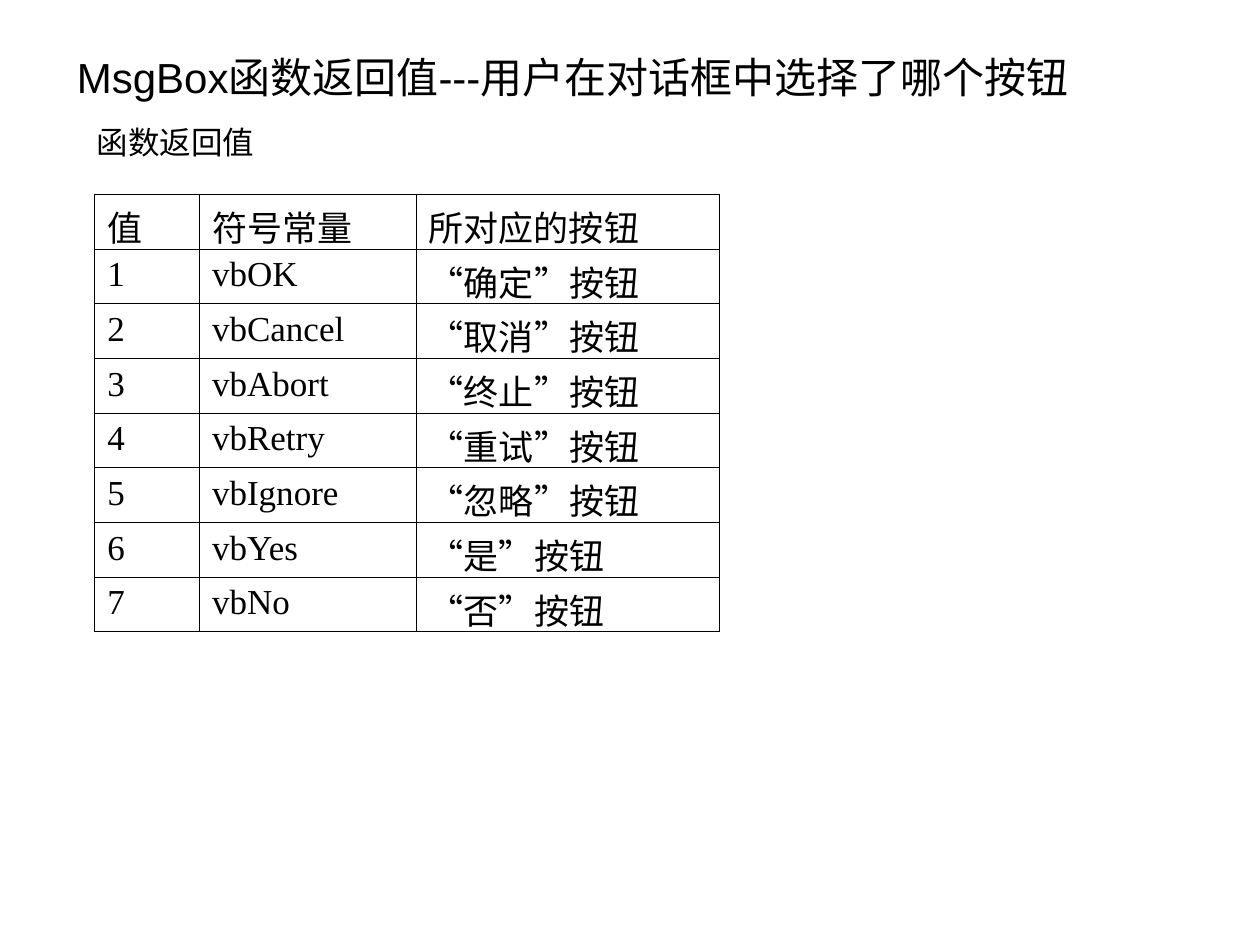
from dataclasses import dataclass

from lxml import etree
from pptx import Presentation
from pptx.dml.color import RGBColor
from pptx.enum.lang import MSO_LANGUAGE_ID
from pptx.enum.text import MSO_ANCHOR
from pptx.oxml.ns import qn
from pptx.util import Cm, Pt

CHINESE = MSO_LANGUAGE_ID.SIMPLIFIED_CHINESE
TOP, MIDDLE = MSO_ANCHOR.TOP, MSO_ANCHOR.MIDDLE


@dataclass(frozen=True)
class Theme:
    ink: str = "000000"
    sans: str = "Arial"
    serif: str = "Times New Roman"
    title_size: int = 24
    subtitle_size: int = 18
    table_size: int = 20
    border_width: float = 0.45


THEME = Theme()

# Content
TITLE = "MsgBox函数返回值---用户在对话框中选择了哪个按钮"
SUBTITLE = "函数返回值"
HEADERS = ("值", "符号常量", "所对应的按钮")
RETURN_VALUES = [
    ("vbOK", "确定"),
    ("vbCancel", "取消"),
    ("vbAbort", "终止"),
    ("vbRetry", "重试"),
    ("vbIgnore", "忽略"),
    ("vbYes", "是"),
    ("vbNo", "否"),
]

# Layout in centimetres
TITLE_BOX = (1.3, 0.91, 23.19, 2.29)
SUBTITLE_BOX = (1.7, 2.36, 3.68, 1.02)
TABLE_LEFT, TABLE_TOP = 1.91, 3.92
COLUMN_WIDTHS = (2.11, 4.37, 6.12)
ROW_HEIGHT = 1.1


def write_text(paragraph, text, font=THEME.serif, size=THEME.table_size):
    run = paragraph.add_run()
    run.text = text
    run.font.name = font
    run.font.size = Pt(size)
    run.font.color.rgb = RGBColor.from_string(THEME.ink)
    run.font.language_id = CHINESE


def add_text_box(slide, box, text, wrap=True, anchor=TOP, **text_format):
    frame = slide.shapes.add_textbox(*map(Cm, box)).text_frame
    frame.word_wrap = wrap
    frame.vertical_anchor = anchor
    write_text(frame.paragraphs[0], text, **text_format)


def add_borders(cell):
    properties = cell._tc.get_or_add_tcPr()
    for position, side in enumerate(("lnL", "lnR", "lnT", "lnB")):
        line = etree.Element(qn(f"a:{side}"), w=str(Pt(THEME.border_width)))
        fill = etree.SubElement(line, qn("a:solidFill"))
        etree.SubElement(fill, qn("a:srgbClr"), val=THEME.ink)
        properties.insert(position, line)


def add_return_table(slide):
    rows = [HEADERS] + [
        (str(value), constant, button)
        for value, (constant, button) in enumerate(RETURN_VALUES, start=1)
    ]
    table = slide.shapes.add_table(
        len(rows), len(HEADERS), Cm(TABLE_LEFT), Cm(TABLE_TOP),
        Cm(sum(COLUMN_WIDTHS)), Cm(ROW_HEIGHT * len(rows)),
    ).table
    table.first_row = False
    table.horz_banding = False
    for column, width in zip(table.columns, COLUMN_WIDTHS):
        column.width = Cm(width)

    for row_index, row in enumerate(rows):
        for column_index, text in enumerate(row):
            cell = table.cell(row_index, column_index)
            cell.fill.background()
            add_borders(cell)
            paragraph = cell.text_frame.paragraphs[0]
            if row_index and column_index == len(HEADERS) - 1:
                # Button names stand in quotation marks
                write_text(paragraph, "“", font=THEME.sans)
                write_text(paragraph, text)
                write_text(paragraph, "”", font=THEME.sans)
                write_text(paragraph, "按钮")
            else:
                write_text(paragraph, text)


def main():
    presentation = Presentation()
    presentation.slide_width = Cm(25.4)
    presentation.slide_height = Cm(19.05)
    slide = presentation.slides.add_slide(presentation.slide_layouts[6])

    # Headings
    add_text_box(slide, TITLE_BOX, TITLE, font=THEME.sans, size=THEME.title_size)
    add_text_box(slide, SUBTITLE_BOX, SUBTITLE, wrap=False, anchor=MIDDLE,
                 size=THEME.subtitle_size)

    # Table of return values
    add_return_table(slide)
    presentation.save("out.pptx")


if __name__ == "__main__":
    main()
